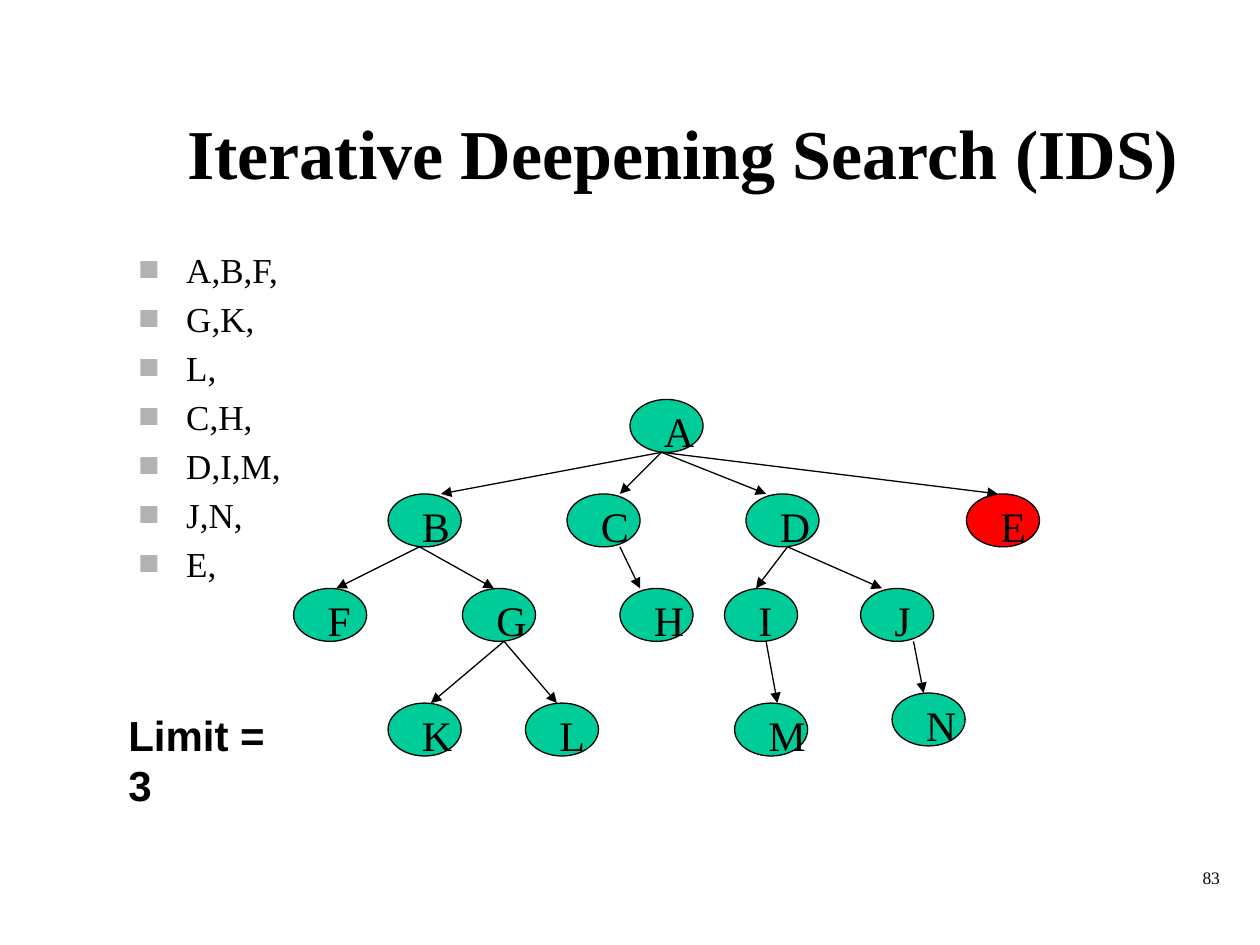
"""Build the slide on iterative deepening search with its tree of nodes."""
import lxml.etree
import pptx
import pptx.dml.color
import pptx.enum.shapes
import pptx.enum.text
import pptx.oxml.ns
import pptx.util

Inches = pptx.util.Inches
ALIGN = pptx.enum.text.PP_ALIGN
ANCHOR = pptx.enum.text.MSO_ANCHOR

THEME = {
    "ink": "000000", "node": "00CC99", "goal": "FF0000", "mark": "B2B2B2",
    "serif": "Times New Roman", "sans": "Arial",
    "title": 40, "label": 24, "list": 20, "page": 10, "line": 0.75,
}

WIDE, HIGH = 0.58, 0.42
NODES = {
    "A": (5, 3.17),
    "B": (3.08, 3.92), "C": (4.5, 3.92), "E": (7.67, 3.92), "D": (5.92, 3.92),
    "F": (2.33, 4.67), "G": (3.67, 4.67), "H": (4.92, 4.67),
    "I": (5.75, 4.67), "J": (6.83, 4.67),
    "K": (3.08, 5.58), "L": (4.17, 5.58), "M": (5.83, 5.58), "N": (7.08, 5.5),
}
EDGES = {
    "A": (5.25, {"B": 3.5, "C": 4.92, "D": 6.08, "E": 7.92}),
    "B": (3.33, {"F": 2.67, "G": 3.92}),
    "C": (4.92, {"H": 5.08}),
    "D": (6.25, {"I": 6, "J": 7}),
    "G": (4, {"K": 3.42, "L": 4.42}),
    "I": (6.08, {"M": 6.17}),
    "J": (7.25, {"N": 7.33}),
}
STEPS = ["A,B,F,", "G,K,", "L,", "C,H,", "D,I,M,", "J,N,", "E,"]


def tint(name):
    return pptx.dml.color.RGBColor.from_string(THEME[name])


def put(thing, form):
    for key, value in form.items():
        setattr(thing, key, value)


def sub(parent, tag, **attrs):
    return lxml.etree.SubElement(parent, pptx.oxml.ns.qn(tag), **attrs)


class Deck:
    def __init__(self):
        self.show = pptx.Presentation()
        put(self.show, {"slide_width": Inches(10), "slide_height": Inches(7.5)})
        self.slide = self.show.slides.add_slide(self.show.slide_layouts[6])

    def text(self, box, lines, size="label", face="serif", bold=False,
             align=ALIGN.LEFT, anchor=ANCHOR.TOP, mark=None, home=None):
        shapes = (home or self.slide).shapes
        frame = shapes.add_textbox(*map(Inches, box)).text_frame
        put(frame, {"word_wrap": True, "vertical_anchor": anchor})
        for num, line in enumerate(lines):
            para = frame.add_paragraph() if num else frame.paragraphs[0]
            if mark:
                self.mark(para, mark)
            put(para, {"alignment": align,
                       "space_before": pptx.util.Pt(4 if num else 0)})
            run = para.add_run()
            run.text = line
            put(run.font, {"name": THEME[face], "bold": bold,
                           "size": pptx.util.Pt(THEME[size])})
            run.font.color.rgb = tint("ink")

    def mark(self, para, sign):
        props = para._p.get_or_add_pPr()
        props.set("marL", str(Inches(0.38)))
        props.set("indent", str(-Inches(0.38)))
        sub(sub(props, "a:buClr"), "a:srgbClr", val=THEME["mark"])
        sub(props, "a:buFont", typeface=THEME["serif"])
        sub(props, "a:buChar", char=sign)

    def edge(self, line):
        line.color.rgb = tint("ink")
        line.width = pptx.util.Pt(THEME["line"])

    def node(self, name, left, top, fill="node"):
        group = self.slide.shapes.add_group_shape()
        oval = group.shapes.add_shape(
            pptx.enum.shapes.MSO_SHAPE.OVAL, *map(Inches, (left, top, WIDE, HIGH)))
        oval.shadow.inherit = False
        oval.fill.solid()
        oval.fill.fore_color.rgb = tint(fill)
        self.edge(oval.line)
        self.text((left + 0.17, top, 0.42, 0.4), [name], home=group)

    def arrow(self, *ends):
        link = self.slide.shapes.add_connector(
            pptx.enum.shapes.MSO_CONNECTOR.STRAIGHT, *map(Inches, ends))
        self.edge(link.line)
        sub(link.line._get_or_add_ln(), "a:tailEnd", type="triangle")
        sub(link._element.spPr, "a:effectLst")


def main():
    deck = Deck()
    deck.text((7.7, 6.83, 2.08, 0.5), ["83"], "page", align=ALIGN.RIGHT)
    deck.text((1.17, 0.58, 8.5, 1.25), ["Iterative Deepening Search (IDS)"],
              "title", bold=True, align=ALIGN.CENTER, anchor=ANCHOR.MIDDLE)
    deck.text((1, 1.92, 8.5, 0.92), STEPS, "list", mark="■")
    for name, (left, top) in NODES.items():
        deck.node(name, left, top, "goal" if name == "E" else "node")
    for name, (start, kids) in EDGES.items():
        for kid, end in kids.items():
            deck.arrow(start, NODES[name][1] + HIGH, end, NODES[kid][1])
    deck.text((0.92, 5.58, 1.33, 0.4), ["Limit = 3"], face="sans", bold=True)
    deck.show.save("out.pptx")


if __name__ == "__main__":
    main()
